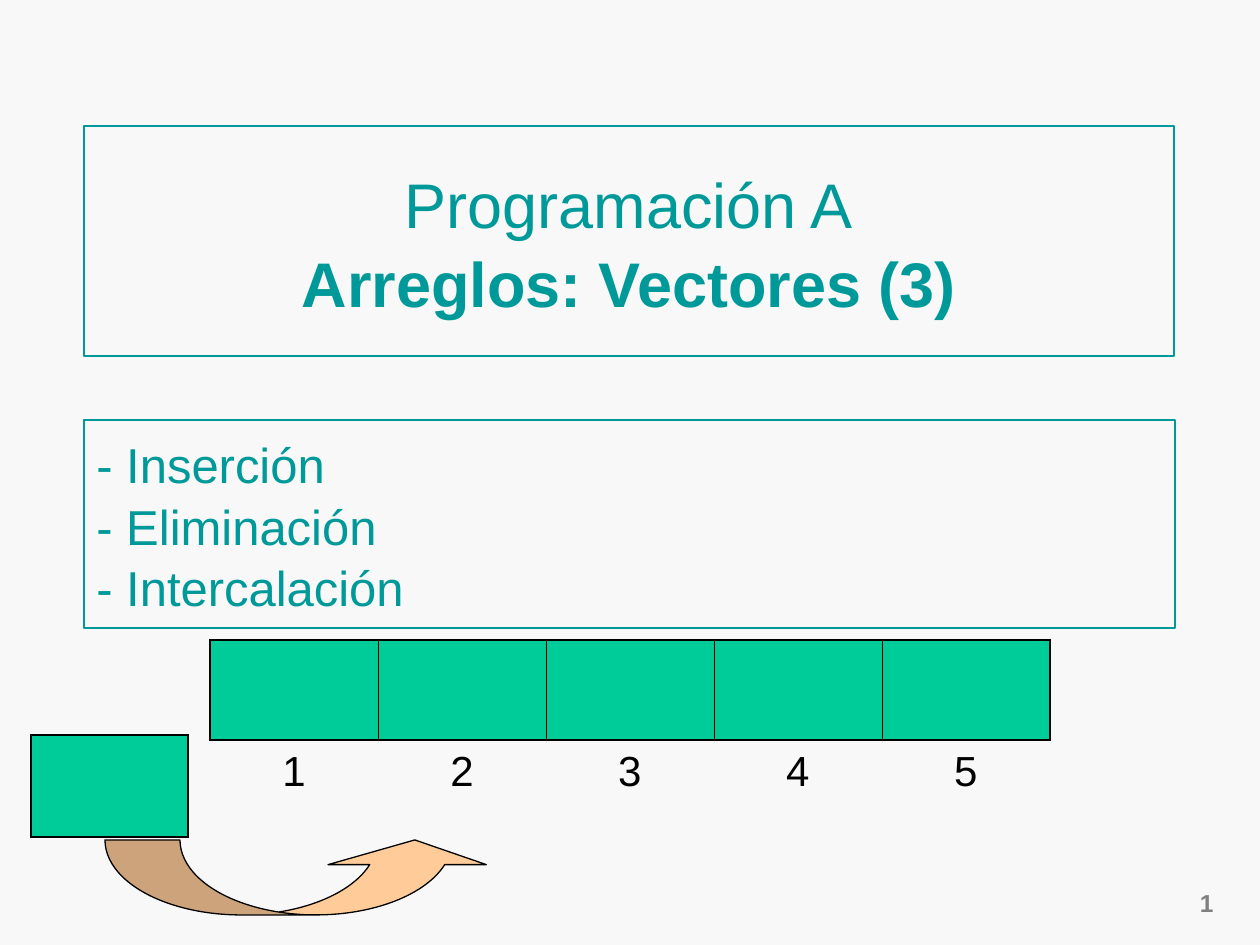
import pptx
import pptx.dml.color
import pptx.enum.shapes
import pptx.enum.text
import pptx.oxml.ns
import pptx.util
from lxml import etree

RGBColor = pptx.dml.color.RGBColor
Align = pptx.enum.text.PP_ALIGN
Shape = pptx.enum.shapes.MSO_SHAPE
MIDDLE = pptx.enum.text.MSO_ANCHOR.MIDDLE

BACKGROUND = RGBColor(0xF8, 0xF8, 0xF8)
TEAL = RGBColor(0x00, 0x99, 0x99)
GREEN = RGBColor(0x00, 0xCC, 0x99)
PEACH = RGBColor(0xFF, 0xCC, 0x99)
GRAY = RGBColor(0x80, 0x80, 0x80)
BLACK = RGBColor(0, 0, 0)

EMU_PER_PX = 914400 // 126
NO_TABLE_STYLE = "{2D5ABB26-0587-4C30-8999-92F81FD0307C}"
OUTER, INNER = 1.08, 0.45


def px(*lengths):
    return [pptx.util.Emu(length * EMU_PER_PX) for length in lengths]


class SlideBuilder:
    font_name = "Arial"

    def __init__(self, slide):
        self.slide = slide
        slide.background.fill.solid()
        slide.background.fill.fore_color.rgb = BACKGROUND

    def fill_text(self, frame, lines, size, color, bold_lines=(), **paragraph_format):
        """Set the lines as one paragraph with line breaks."""
        paragraph = frame.paragraphs[0]
        for name, value in paragraph_format.items():
            setattr(paragraph, name, value)
        for index, line in enumerate(lines):
            if index:
                paragraph.add_line_break()
            run = paragraph.add_run()
            run.text = line
            font_format = {"name": self.font_name, "size": pptx.util.Pt(size),
                           "bold": line in bold_lines}
            for name, value in font_format.items():
                setattr(run.font, name, value)
            run.font.color.rgb = color

    def shape(self, kind, box, line_color, fill_color=None):
        shape = self.slide.shapes.add_shape(kind, *px(*box))
        shape.shadow.inherit = False
        if fill_color is None:
            shape.fill.background()
        else:
            shape.fill.solid()
            shape.fill.fore_color.rgb = fill_color
        shape.line.color.rgb = line_color
        shape.line.width = pptx.util.Pt(0.75)
        return shape

    def framed_text(self, box, lines, size, **text_format):
        frame = self.shape(Shape.RECTANGLE, box, TEAL).text_frame
        frame.word_wrap = True
        frame.vertical_anchor = MIDDLE
        self.fill_text(frame, lines, size, TEAL, line_spacing=1.05, **text_format)

    def text(self, box, text, size, color, **text_format):
        frame = self.slide.shapes.add_textbox(*px(*box)).text_frame
        frame.word_wrap = True
        self.fill_text(frame, [text], size, color, **text_format)

    def border(self, cell, **widths):
        """Draw the given sides (L, R, T, B) in black, widths in points."""
        properties = cell._tc.get_or_add_tcPr()
        for side in "LRTB":
            if side in widths:
                line = etree.SubElement(properties, pptx.oxml.ns.qn(f"a:ln{side}"),
                                        w=str(pptx.util.Pt(widths[side])))
                fill = etree.SubElement(line, pptx.oxml.ns.qn("a:solidFill"))
                etree.SubElement(fill, pptx.oxml.ns.qn("a:srgbClr"), val=str(BLACK))

    def cell_table(self, left, top, column_width, cell_height, count=1,
                   labels=(), label_height=0):
        """Draw a row of green cells, with an optional row of labels below."""
        row_heights = [cell_height] + ([label_height] if labels else [])
        frame = self.slide.shapes.add_table(
            len(row_heights), count,
            *px(left, top, column_width * count, sum(row_heights)))
        table = frame.table
        table.first_row = table.horz_banding = False
        table._tbl.tblPr.find(pptx.oxml.ns.qn("a:tableStyleId")).text = NO_TABLE_STYLE
        for row, height in zip(table.rows, px(*row_heights)):
            row.height = height
        for index, column in enumerate(table.columns):
            column.width = px(column_width)[0]
            cell = table.cell(0, index)
            self.border(cell, T=OUTER, B=OUTER,
                        L=INNER if index else OUTER,
                        R=INNER if index < count - 1 else OUTER)
            cell.fill.solid()
            cell.fill.fore_color.rgb = GREEN
        for index, label in enumerate(labels):
            cell = table.cell(1, index)
            self.border(cell, T=OUTER)
            cell.fill.background()
            cell.vertical_anchor = MIDDLE
            self.fill_text(cell.text_frame, [label], 24, BLACK,
                           alignment=Align.CENTER, space_before=pptx.util.Pt(6))

    def curved_arrow(self, box, adjustments):
        arrow = self.shape(Shape.CURVED_UP_ARROW, box, BLACK, PEACH)
        for index, value in enumerate(adjustments):
            arrow.adjustments[index] = value


def main():
    presentation = pptx.Presentation()
    presentation.slide_width, presentation.slide_height = px(1260, 945)
    builder = SlideBuilder(presentation.slides.add_slide(presentation.slide_layouts[6]))

    # Slide number
    builder.text((1144, 882, 82, 43), "1", 14, GRAY, bold_lines=["1"],
                 alignment=Align.RIGHT)

    # Title and topics
    title = ["Programación A", "Arreglos: Vectores (3)"]
    builder.framed_text((84, 126, 1090, 230), title, 36, bold_lines=title[1:],
                        alignment=Align.CENTER)
    builder.framed_text((84, 420, 1091, 208),
                        ["- Inserción", "- Eliminación", "- Intercalación"], 28,
                        alignment=Align.LEFT)

    # Vector with its indices
    builder.cell_table(210, 640, 168, 100, count=5, labels="12345", label_height=62)

    # Element to insert, with the arrow towards the vector
    builder.cell_table(31, 735, 157, 102)
    builder.curved_arrow((105, 840, 389, 75), (1.06, 2.11, 0.33))

    presentation.save("out.pptx")


if __name__ == "__main__":
    main()
